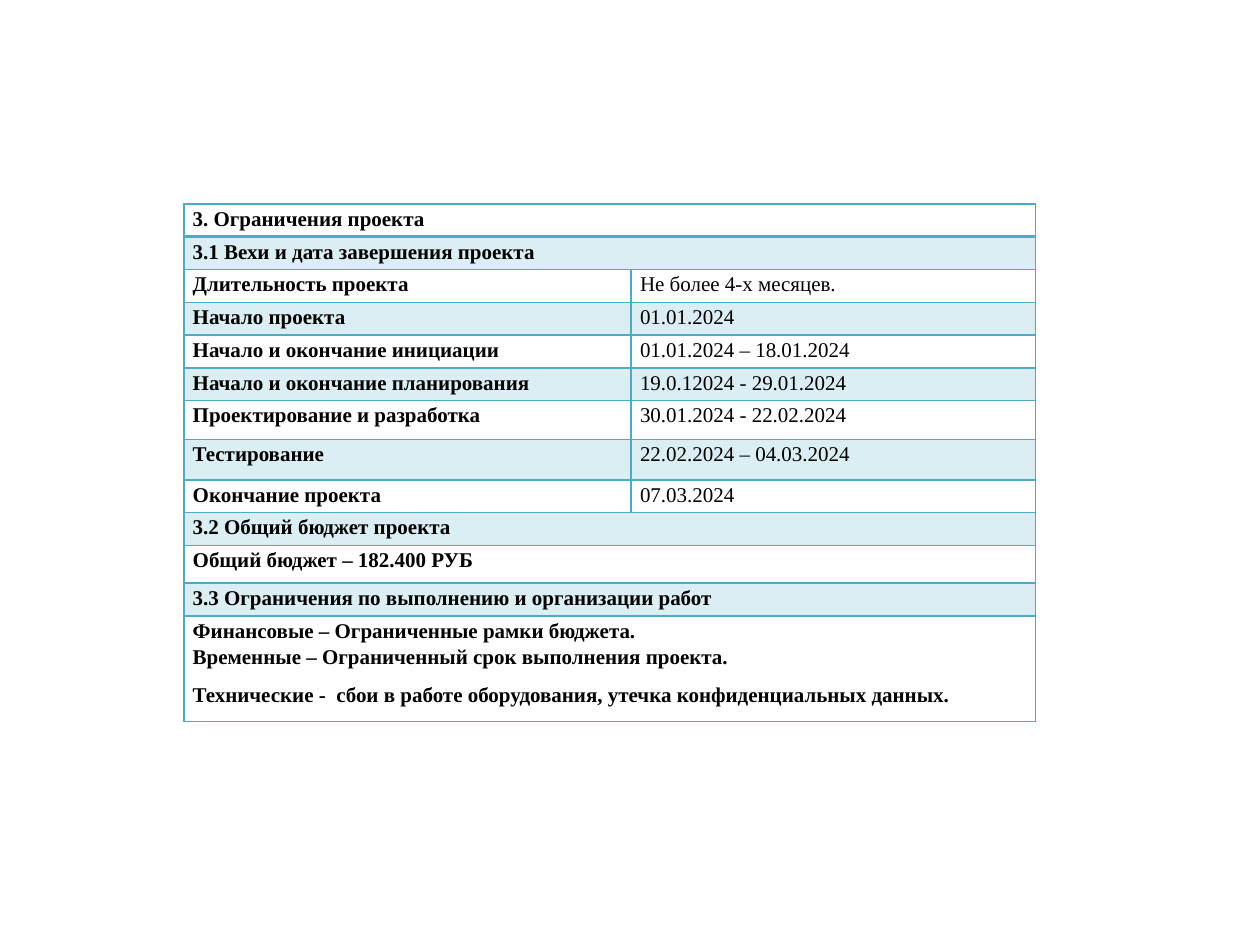
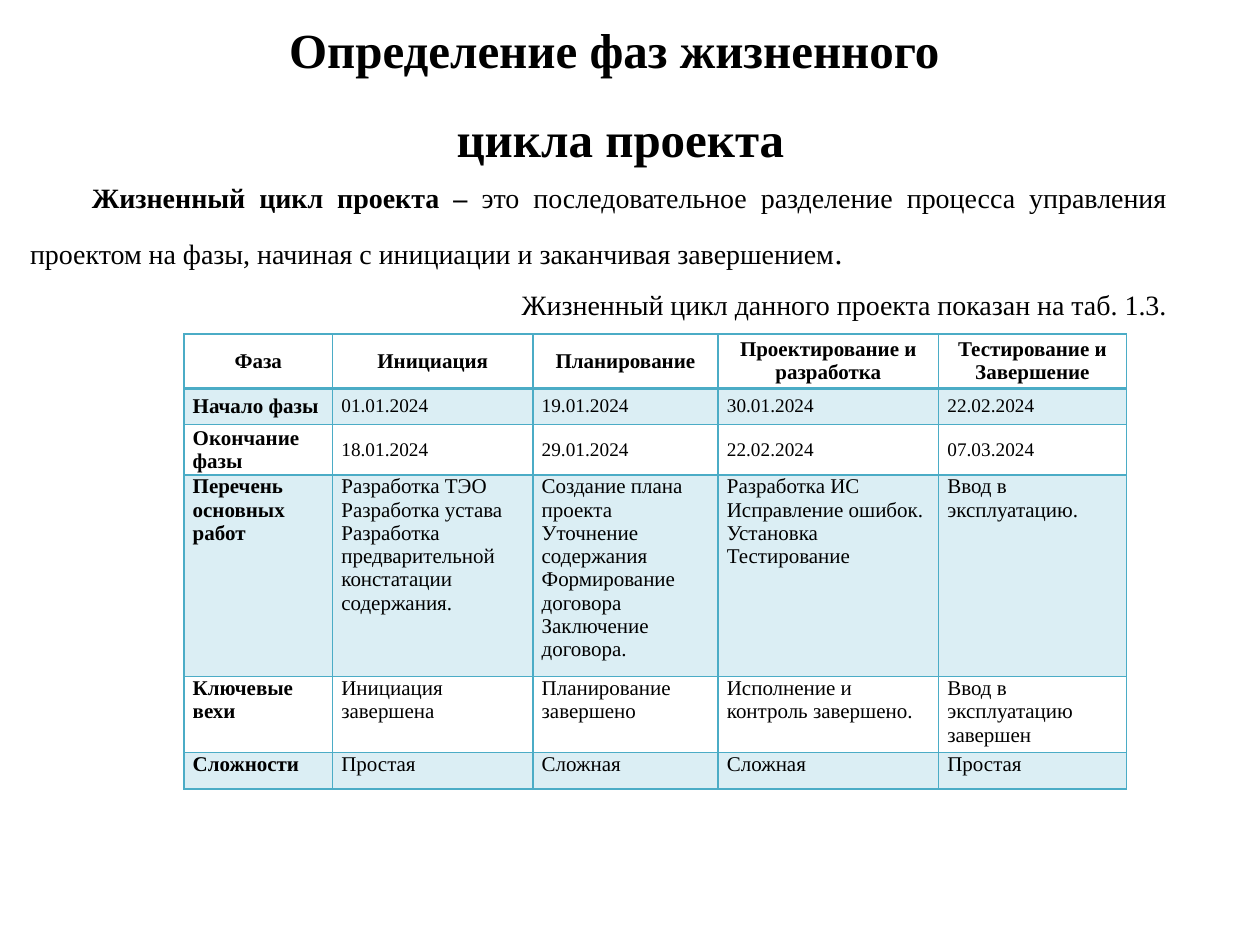
from dataclasses import dataclass

import pptx
import pptx.dml.color
import pptx.enum.text
import pptx.oxml
import pptx.oxml.ns
import pptx.util

Inches, Pt = pptx.util.Inches, pptx.util.Pt
ALIGN = pptx.enum.text.PP_ALIGN
ANCHOR = pptx.enum.text.MSO_ANCHOR

FONT = "Times New Roman"
COLORS = {"text": "000000", "border": "4BACC6", "band": "DBEEF4"}
BLANK, TITLE_ONLY = 6, 5


@dataclass
class Cell:
    text: str
    bold: bool = False
    size: float = 12
    align: ALIGN = ALIGN.LEFT
    anchor: ANCHOR = ANCHOR.TOP
    spacing: float = 1.0


@dataclass
class Grid:
    left: float
    top: float
    cols: list[float]
    rows: list[float]
    cells: list[list[Cell]]


def rgb(name: str) -> pptx.dml.color.RGBColor:
    return pptx.dml.color.RGBColor.from_string(COLORS[name])


def set_font(font, size: float, bold: bool = False) -> None:
    font.name, font.size, font.bold = FONT, Pt(size), bold
    font.color.rgb = rgb("text")


def set_indent(p, margin: float, first: float) -> None:
    pPr = p._p.get_or_add_pPr()
    pPr.set("marL", str(Inches(margin)))
    pPr.set("indent", str(Inches(first)))


def set_borders(cell, row: int) -> None:
    """Thin lines all round, with a double-width line under the first row."""
    widths = {"L": 1, "R": 1, "T": 2 if row == 1 else 1, "B": 2 if row == 0 else 1}
    tcPr = cell._tc.get_or_add_tcPr()
    for i, (side, width) in enumerate(widths.items()):
        tcPr.insert(i, pptx.oxml.parse_xml(
            f'<a:ln{side} {pptx.oxml.ns.nsdecls("a")} w="{Pt(width)}"><a:solidFill>'
            f'<a:srgbClr val="{COLORS["border"]}"/></a:solidFill></a:ln{side}>'))


def fill_text(cell, item: Cell) -> None:
    cell.margin_left = cell.margin_right = Inches(0.07)
    cell.margin_top = cell.margin_bottom = 0
    cell.vertical_anchor = item.anchor
    tf = cell.text_frame
    tf.text = item.text
    for p in tf.paragraphs:
        p.alignment, p.line_spacing = item.align, item.spacing
        set_font(p.font, item.size, item.bold)


def add_grid(s, grid: Grid):
    """Draw a banded table; a row with a single cell spans all columns."""
    table = s.shapes.add_table(
        len(grid.rows), len(grid.cols), Inches(grid.left), Inches(grid.top),
        Inches(sum(grid.cols)), Inches(sum(grid.rows))).table
    table.first_row = table.horz_banding = False
    for col, width in zip(table.columns, grid.cols):
        col.width = Inches(width)
    for r, (height, items) in enumerate(zip(grid.rows, grid.cells)):
        table.rows[r].height = Inches(height)
        for c in range(len(grid.cols)):
            cell = table.cell(r, c)
            if r % 2:
                cell.fill.solid()
                cell.fill.fore_color.rgb = rgb("band")
            else:
                cell.fill.background()
            set_borders(cell, r)
        if len(items) == 1:
            table.cell(r, 0).merge(table.cell(r, len(grid.cols) - 1))
        for c, item in enumerate(items):
            fill_text(table.cell(r, c), item)
    return table


CONSTRAINTS = [
    (0.26, "3. Ограничения проекта"),
    (0.26, "3.1 Вехи и дата завершения проекта "),
    (0.26, "Длительность проекта ", "Не более 4-х месяцев."),
    (0.26, "Начало проекта", "01.01.2024"),
    (0.26, "Начало и окончание инициации", "01.01.2024 – 18.01.2024"),
    (0.26, "Начало и окончание планирования", "19.0.12024 - 29.01.2024"),
    (0.31, "Проектирование и разработка", "30.01.2024 - 22.02.2024"),
    (0.32, "Тестирование", "22.02.2024 – 04.03.2024"),
    (0.26, "Окончание проекта ", "07.03.2024"),
    (0.26, "3.2 Общий бюджет проекта"),
    (0.3, "Общий бюджет – 182.400 РУБ"),
    (0.26, "3.3 Ограничения по выполнению и организации работ "),
    (0.84, "Финансовые – Ограниченные рамки бюджета.\n"
           "Временные – Ограниченный срок выполнения проекта.\n"
           "Технические -  сбои в работе оборудования, утечка конфиденциальных данных."),
]

PHASES = [
    (0.43, "Фаза", "Инициация", "Планирование", "Проектирование и разработка",
     "Тестирование и Завершение"),
    (0.29, "Начало фазы", "01.01.2024", "19.01.2024", "30.01.2024", "22.02.2024"),
    (0.4, "Окончание фазы", "18.01.2024", "29.01.2024", "22.02.2024", "07.03.2024"),
    (1.6, "Перечень основных работ",
     "Разработка ТЭО\nРазработка устава\nРазработка предварительной констатации содержания.",
     "Создание плана проекта\nУточнение содержания\nФормирование договора\nЗаключение договора.",
     "Разработка ИС\nИсправление ошибок. Установка Тестирование",
     "Ввод в эксплуатацию."),
    (0.6, "Ключевые вехи", "Инициация завершена", "Планирование завершено",
     "Исполнение и контроль завершено.", "Ввод в эксплуатацию завершен"),
    (0.29, "Сложности", "Простая", "Сложная", "Сложная", "Простая"),
]


def phase_cell(row: int, col: int, text: str) -> Cell:
    is_date = row in (1, 2) and col > 0
    return Cell(text, bold=row == 0 or col == 0, size=11 if is_date else 12,
                align=ALIGN.LEFT if row else ALIGN.CENTER,
                anchor=ANCHOR.MIDDLE if row < 3 else ANCHOR.TOP)


def build_constraints(prs) -> None:
    s = prs.slides.add_slide(prs.slide_layouts[BLANK])
    cells = [[Cell(text, bold=c == 0, align=ALIGN.JUSTIFY, spacing=1.15)
              for c, text in enumerate(texts)] for _, *texts in CONSTRAINTS]
    table = add_grid(s, Grid(1.46, 1.62, [3.55, 3.21], [row[0] for row in CONSTRAINTS], cells))
    technical = table.cell(len(CONSTRAINTS) - 1, 0).text_frame.paragraphs[-1]
    technical.alignment, technical.line_spacing = ALIGN.LEFT, 1.0
    technical.space_before = Pt(8)


def add_title(s, text: str) -> None:
    title = s.shapes.title
    title.left, title.top, title.width, title.height = 0, 0, Inches(9.25), Inches(1.25)
    tf = title.text_frame
    tf.text = text
    tf.vertical_anchor = ANCHOR.MIDDLE
    p = tf.paragraphs[0]
    p.alignment, p.line_spacing = ALIGN.CENTER, 1.5
    set_indent(p, 0.5, 0)
    set_font(p.font, 28, True)


def add_definition(s) -> None:
    tf = s.shapes.add_textbox(Inches(0.14), Inches(1.25), Inches(9.22), Inches(1.31)).text_frame
    tf.word_wrap = True
    paragraphs = [
        (ALIGN.JUSTIFY, [
            ("Жизненный цикл проекта – ", 16, True),
            ("это последовательное разделение процесса управления проектом на фазы, "
             "начиная с инициации и заканчивая завершением", 16, False),
            (".", 18, False)]),
        (ALIGN.RIGHT, [("Жизненный цикл данного проекта показан на таб. 1.3.", 16, False)]),
    ]
    for i, (align, runs) in enumerate(paragraphs):
        p = tf.add_paragraph() if i else tf.paragraphs[0]
        p.alignment, p.line_spacing = align, 1.5
        set_indent(p, 0, 0.49)
        for text, size, bold in runs:
            r = p.add_run()
            r.text = text
            set_font(r.font, size, bold)


def build_phases(prs) -> None:
    s = prs.slides.add_slide(prs.slide_layouts[TITLE_ONLY])
    add_title(s, "Определение фаз жизненного\v цикла проекта")
    add_definition(s)
    cells = [[phase_cell(r, c, text) for c, text in enumerate(texts)]
             for r, (_, *texts) in enumerate(PHASES)]
    add_grid(s, Grid(1.46, 2.65, [1.18, 1.59, 1.47, 1.75, 1.49],
                     [row[0] for row in PHASES], cells))


def main() -> None:
    prs = pptx.Presentation()
    prs.slide_width, prs.slide_height = Inches(10), Inches(7.5)
    build_constraints(prs)
    build_phases(prs)
    prs.save("out.pptx")


if __name__ == "__main__":
    main()
